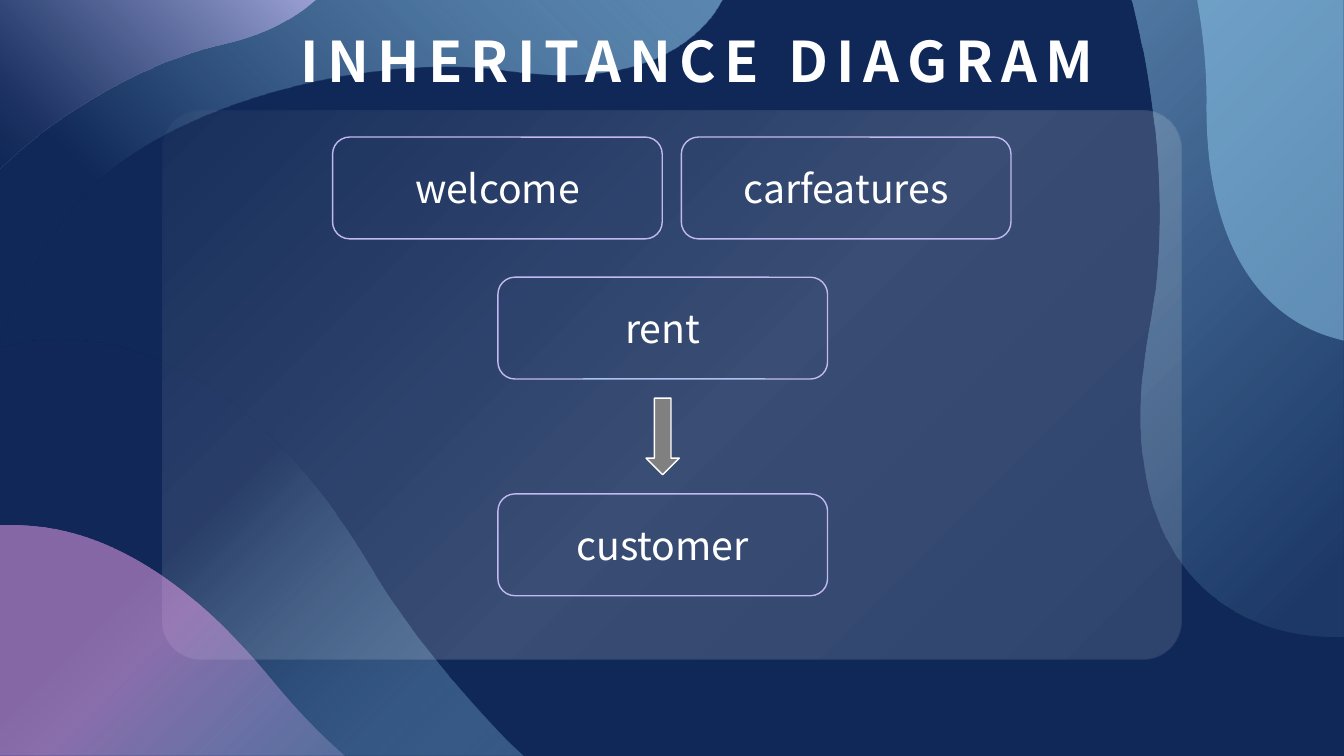
from lxml import etree
from pptx import Presentation, util as u
from pptx.dml.color import RGBColor
from pptx.enum import shapes, text
from pptx.oxml.ns import qn

PX = 9144  # EMU per px, 100 px to the inch
FONT = "Noto Sans CJK SC"
COLORS = {"navy": "102857", "sky": "92CDF0", "lilac": "C3B9F2", "pink": "F6A6F4",
          "white": "FFFFFF", "gray": "808080", "cyan": "64DFED"}

# Gradients: focus corner as left, top, right, bottom percent, then (position, color, opacity)
TOP_LEFT, TOP_RIGHT, BOTTOM_RIGHT = (0, 0, 100, 100), (100, 0, 0, 100), (100, 100, 0, 0)

# Outlines: two numbers make a corner, six make a Bezier curve
LOWER_WAVE = ([(60, 337), (161, 337, 272, 401, 368, 564), (402, 621, 449, 679, 503, 735),
               (519, 750), (0, 750), (0, 345), (18, 341), (32, 338, 46, 337, 60, 337)],
              TOP_LEFT, [(41, "navy", 68), (100, "sky", 29)])
UPPER_WAVE = ([(717, 0), (709, 13), (676, 58, 611, 86, 506, 71), (366, 50, 147, 106, 69, 210),
               (45, 242, 22, 281, 5, 326), (0, 340), (0, 113), (0, 0)],
              TOP_RIGHT, [(0, "sky", 57), (76, "navy", 100)])
RIGHT_WAVE = ([(1123, 0), (1333, 0), (1333, 631), (1318, 631),
               (1201, 627, 1101, 535, 1141, 324), (1159, 232, 1152, 113, 1124, 4)],
              BOTTOM_RIGHT, [(10, "sky", 10), (100, "sky", 48)])
RIGHT_BLOB = ([(1188, 0), (1333, 0), (1333, 338), (1326, 336),
               (1253, 317, 1195, 245, 1197, 100), (1197, 70, 1194, 36, 1188, 2)],
              None, [(0, "sky", 51)])
UPPER_BLOB = ([(0, 0), (313, 0), (302, 9), (280, 25, 251, 38, 213, 46),
               (151, 61, 77, 100, 19, 150), (0, 167), (0, 95)],
              TOP_RIGHT, [(0, "lilac", 70), (100, "navy", 40)])
LOWER_BLOB = ([(20, 521), (97, 523, 183, 568, 270, 675), (288, 697, 308, 719, 331, 740),
               (342, 750), (0, 750), (0, 521)],
              TOP_LEFT, [(47, "pink", 51), (100, "lilac", 24)])
PANEL = (161, 110, 1011, 544)
PANEL_STOPS = [(6, "white", 13), (46, "white", 17), (99, "white", 3)]

TITLE, TITLE_BOX = "INHERITANCE DIAGRAM", (269, 16, 846, 83)
BOX_SIZE = (327, 101)
CLASSES = [("welcome", 330, 136), ("rent", 494, 275),
           ("customer", 494, 490), ("carfeatures", 676, 136)]
ARROW = (641, 395, 33, 76)
ACCENT = (759, 375, 578, 375)

deck = Presentation()
deck.slide_width, deck.slide_height = u.Emu(12192000), u.Emu(750 * PX)
page = deck.slides.add_slide(deck.slide_layouts[6])


def rgb(name):
    return RGBColor.from_string(COLORS[name])


def emu(lengths):
    return [length * PX for length in lengths]


def add_color(parent, name, opacity):
    color = etree.SubElement(parent, qn("a:srgbClr"), val=COLORS[name])
    etree.SubElement(color, qn("a:alpha"), val=str(opacity * 1000))


def paint(shape, focus, stops):
    """Fill with a see-through color, or with a circular gradient."""
    shape.shadow.inherit = False
    shape.line.fill.background()
    if focus is None:
        shape.fill.solid()
        fill = shape.element.spPr.find(qn("a:solidFill"))
        fill.clear()
        add_color(fill, *stops[0][1:])
        return
    shape.fill.gradient()
    fill = shape.element.spPr.find(qn("a:gradFill"))
    fill.clear()
    stop_list = etree.SubElement(fill, qn("a:gsLst"))
    for position, name, opacity in stops:
        stop = etree.SubElement(stop_list, qn("a:gs"), pos=str(position * 1000))
        add_color(stop, name, opacity)
    circle = etree.SubElement(fill, qn("a:path"), path="circle")
    sides = {side: str(share * 1000) for side, share in zip("ltrb", focus)}
    etree.SubElement(circle, qn("a:fillToRect"), **sides)


def add_wave(outline, focus, stops):
    """Build the outline through its corners, then bend the curved segments."""
    corners = [emu(part[-2:]) for part in outline]
    builder = page.shapes.build_freeform(*corners[0], scale=1.0)
    builder.add_line_segments(corners[1:], close=True)
    wave = builder.convert_to_shape()
    segments = list(wave.element.spPr.iter(qn("a:lnTo")))
    for segment, part in zip(segments, outline[1:]):
        if len(part) == 2:
            continue
        curve = etree.Element(qn("a:cubicBezTo"))
        for x, y in zip(part[::2], part[1::2]):
            etree.SubElement(curve, qn("a:pt"), x=str(x * PX - wave.left),
                             y=str(y * PX - wave.top))
        segment.getparent().replace(segment, curve)
    paint(wave, focus, stops)


def write(shape, words, size, anchor):
    frame = shape.text_frame
    frame.word_wrap = True
    frame.vertical_anchor = anchor
    frame.text = words
    para = frame.paragraphs[0]
    para.alignment = text.PP_ALIGN.CENTER
    span = para.runs[0]
    span.font.name, span.font.size = FONT, u.Pt(size)
    span.font.color.rgb = rgb("white")
    return para, span


def outline_shape(kind, place, line_color):
    shape = page.shapes.add_shape(kind, *emu(place))
    shape.shadow.inherit = False
    shape.fill.background()
    shape.line.color.rgb = rgb(line_color)
    shape.line.width = u.Pt(1)
    return shape


# Background, waves and glass panel
page.background.fill.solid()
page.background.fill.fore_color.rgb = rgb("navy")
for wave in (LOWER_WAVE, UPPER_WAVE, RIGHT_WAVE, RIGHT_BLOB):
    add_wave(*wave)
panel = page.shapes.add_shape(shapes.MSO_SHAPE.ROUNDED_RECTANGLE, *emu(PANEL))
panel.adjustments[0] = 0.07
paint(panel, BOTTOM_RIGHT, PANEL_STOPS)

# Thin accent line
accent = page.shapes.add_connector(shapes.MSO_CONNECTOR.STRAIGHT, *emu(ACCENT))
accent.line.color.rgb = rgb("cyan")
accent.line.width = u.Pt(0.5)
etree.SubElement(accent.element.spPr, qn("a:effectLst"))

for wave in (UPPER_BLOB, LOWER_BLOB):
    add_wave(*wave)

# Title
title = page.shapes.add_textbox(*emu(TITLE_BOX))
para, span = write(title, TITLE, 40, text.MSO_ANCHOR.BOTTOM)
para.line_spacing = 0.9
span.font.bold = True
span.font._element.set("spc", "600")

# Class boxes and arrow
for name, left, top in CLASSES:
    box = outline_shape(shapes.MSO_SHAPE.ROUNDED_RECTANGLE, (left, top, *BOX_SIZE), "lilac")
    write(box, name, 28, text.MSO_ANCHOR.MIDDLE)
arrow = outline_shape(shapes.MSO_SHAPE.DOWN_ARROW, ARROW, "white")
arrow.fill.solid()
arrow.fill.fore_color.rgb = rgb("gray")

deck.save("out.pptx")
